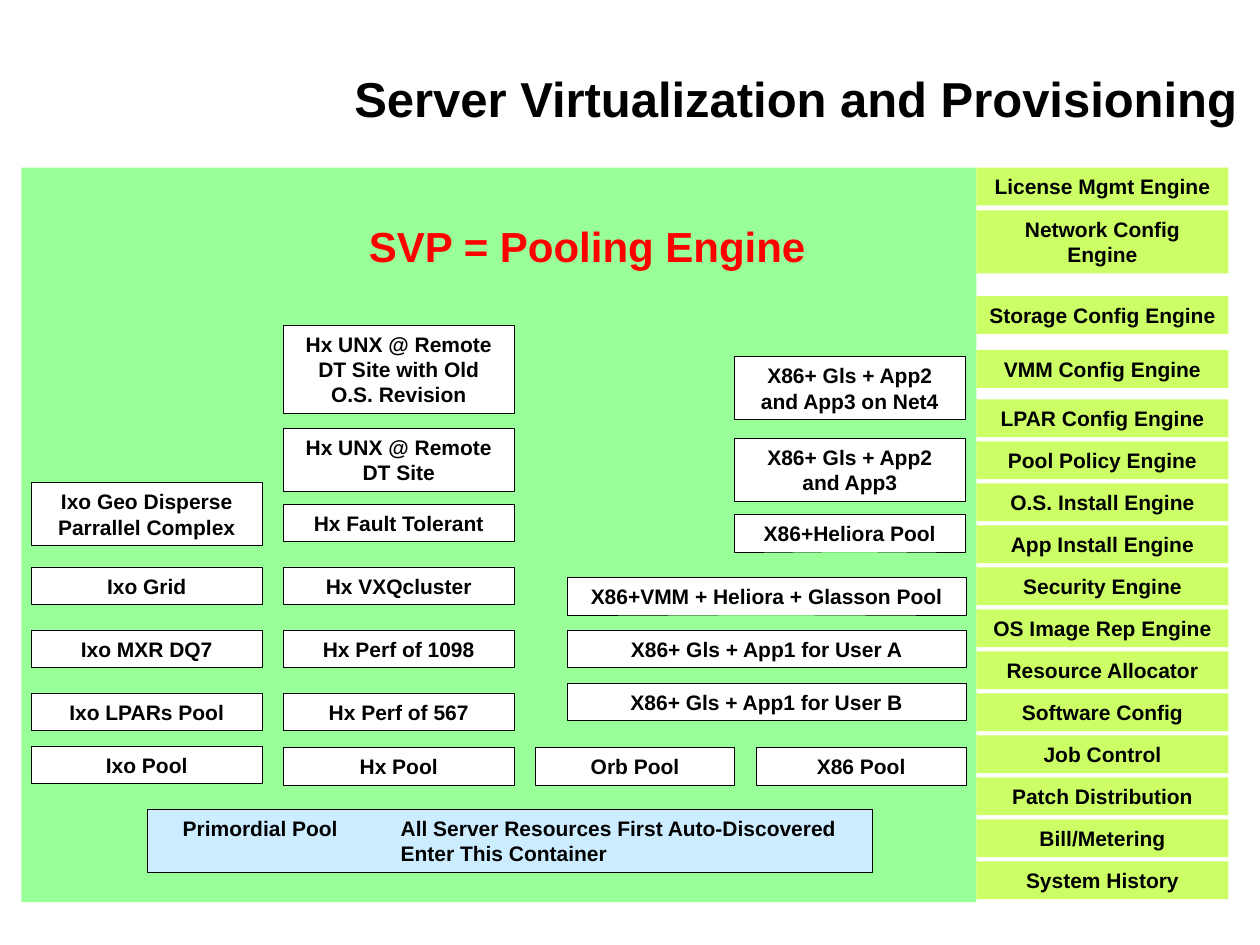
from dataclasses import dataclass

from pptx import Presentation
from pptx.dml.color import RGBColor
from pptx.enum.shapes import MSO_SHAPE
from pptx.enum.text import MSO_ANCHOR, MSO_AUTO_SIZE, PP_ALIGN
from pptx.oxml import parse_xml
from pptx.oxml.ns import nsdecls
from pptx.util import Inches, Pt

RECT = MSO_SHAPE.RECTANGLE
CENTER, LEFT = PP_ALIGN.CENTER, PP_ALIGN.LEFT
MIDDLE, TOP = MSO_ANCHOR.MIDDLE, MSO_ANCHOR.TOP
GROW, FIXED = MSO_AUTO_SIZE.SHAPE_TO_FIT_TEXT, MSO_AUTO_SIZE.NONE

FONT = "Arial"
BLACK, WHITE, RED = "000000", "FFFFFF", "FF0000"
GREEN, LIME, BLUE = "99FF99", "CCFF66", "CCECFF"
PANEL_TOP = 1.33
ENGINE_X, ENGINE_W = 7.75, 2
ENGINE_PITCH = 1 / 3


@dataclass
class Box:
    x: float
    y: float
    w: float
    text: str
    lines: int = 1

    @property
    def h(self) -> float:
        return 0.1 + 0.2 * self.lines


def rgb(color: str) -> RGBColor:
    return RGBColor.from_string(color)


def add_rect(s, x: float, y: float, w: float, h: float, fill: str, line: str = ""):
    sp = s.shapes.add_shape(RECT, Inches(x), Inches(y), Inches(w), Inches(h))
    sp.shadow.inherit = False
    sp.fill.solid()
    sp.fill.fore_color.rgb = rgb(fill)
    if line:
        sp.line.color.rgb = rgb(line)
        sp.line.width = Pt(0.25)
    else:
        sp.line.fill.background()
    return sp


def add_run(p, text: str, size: float, color: str) -> None:
    r = p.add_run()
    r.text = text
    r.font.name = FONT
    r.font.size = Pt(size)
    r.font.bold = True
    r.font.color.rgb = rgb(color)


def add_box(s, box: Box, fill: str, line: str = ""):
    sp = add_rect(s, box.x, box.y, box.w, box.h, fill, line)
    tf = sp.text_frame
    tf.word_wrap = True
    tf.auto_size = GROW
    tf.vertical_anchor = MIDDLE
    p = tf.paragraphs[0]
    p.alignment = CENTER
    if box.text:
        add_run(p, box.text, 12, BLACK)
    return sp


def add_heading(s, x, y, w, h, text: str, size: float, color: str,
                align, anchor, auto_size) -> None:
    sp = s.shapes.add_textbox(Inches(x), Inches(y), Inches(w), Inches(h))
    tf = sp.text_frame
    tf.word_wrap = False
    tf.auto_size = auto_size
    tf.vertical_anchor = anchor
    p = tf.paragraphs[0]
    p.alignment = align
    add_run(p, text, size, color)


def add_primordial_pool(s) -> None:
    sp = add_box(s, Box(1.17, 6.42, 5.75, "", 2), BLUE, BLACK)
    tf = sp.text_frame
    tf.margin_left = Inches(0.28)
    p = tf.paragraphs[0]
    p.alignment = LEFT
    tabs = f'<a:tabLst {nsdecls("a")}><a:tab pos="{Inches(1.73)}" algn="l"/></a:tabLst>'
    p._p.get_or_add_pPr().append(parse_xml(tabs))
    add_run(p, "Primordial Pool\tAll Server Resources First Auto-Discovered", 12, BLACK)
    p.add_line_break()
    add_run(p, "\tEnter This Container", 12, BLACK)


POOL_W, WIDE_W = 1.83, 3.17
COL_1, COL_2, COL_3, COL_4 = 0.25, 2.25, 4.5, 5.83

POOLS = [
    # Mainframe pools
    Box(COL_1, 3.83, POOL_W, "Ixo Geo Disperse Parrallel Complex", 2),
    Box(COL_1, 4.5, POOL_W, "Ixo Grid"),
    Box(COL_1, 5, POOL_W, "Ixo MXR DQ7"),
    Box(COL_1, 5.5, POOL_W, "Ixo LPARs Pool"),
    Box(COL_1, 5.92, POOL_W, "Ixo Pool"),
    # Unix server pools
    Box(COL_2, 2.58, POOL_W, "Hx UNX @ Remote DT Site with Old O.S. Revision", 3),
    Box(COL_2, 3.4, POOL_W, "Hx UNX @ Remote DT Site", 2),
    Box(COL_2, 4, POOL_W, "Hx Fault Tolerant"),
    Box(COL_2, 4.5, POOL_W, "Hx VXQcluster"),
    Box(COL_2, 5, POOL_W, "Hx Perf of 1098"),
    Box(COL_2, 5.5, POOL_W, "Hx Perf of 567"),
    Box(COL_2, 5.93, POOL_W, "Hx Pool"),
    # X86 and workstation pools
    Box(COL_4, 2.83, POOL_W, "X86+ Gls + App2 and App3 on Net4", 2),
    Box(COL_4, 3.48, POOL_W, "X86+ Gls + App2 and App3", 2),
    Box(COL_4, 4.08, POOL_W, "X86+Heliora Pool"),
    Box(COL_3, 4.58, WIDE_W, "X86+VMM + Heliora + Glasson Pool"),
    Box(COL_3, 5, WIDE_W, "X86+ Gls + App1 for User A"),
    Box(COL_3, 5.42, WIDE_W, "X86+ Gls + App1 for User B"),
    Box(4.25, 5.93, 1.58, "Orb Pool"),
    Box(6, 5.93, 1.67, "X86 Pool"),
]

TOP_ENGINES = [
    Box(ENGINE_X, PANEL_TOP, ENGINE_W, "License Mgmt Engine"),
    Box(ENGINE_X, 1.67, ENGINE_W, "Network Config Engine", 2),
    Box(ENGINE_X, 2.35, ENGINE_W, "Storage Config Engine"),
    Box(ENGINE_X, 2.78, ENGINE_W, "VMM Config Engine"),
]
STACKED_ENGINES = [
    "LPAR Config Engine", "Pool Policy Engine", "O.S. Install Engine",
    "App Install Engine", "Security Engine", "OS Image Rep Engine",
    "Resource Allocator", "Software Config", "Job Control",
    "Patch Distribution", "Bill/Metering", "System History",
]


def main() -> None:
    prs = Presentation()
    prs.slide_width, prs.slide_height = Inches(10), Inches(7.5)
    s = prs.slides.add_slide(prs.slide_layouts[6])

    # Panel and headings
    add_rect(s, 0.17, PANEL_TOP, 7.58, 5.83, GREEN)
    add_heading(s, 2.71, 0.27, 7.21, 1.01, "Server Virtualization and Provisioning",
                28, BLACK, CENTER, MIDDLE, FIXED)
    add_heading(s, 2.83, 1.7, 3.68, 0.5, "SVP = Pooling Engine",
                24, RED, LEFT, TOP, GROW)

    # Pools
    add_primordial_pool(s)
    for box in POOLS:
        add_box(s, box, WHITE, BLACK)

    # Engines down the right side
    stack = [Box(ENGINE_X, 3.17 + i * ENGINE_PITCH, ENGINE_W, text)
             for i, text in enumerate(STACKED_ENGINES)]
    for box in TOP_ENGINES + stack:
        add_box(s, box, LIME)

    prs.save("out.pptx")


if __name__ == "__main__":
    main()
